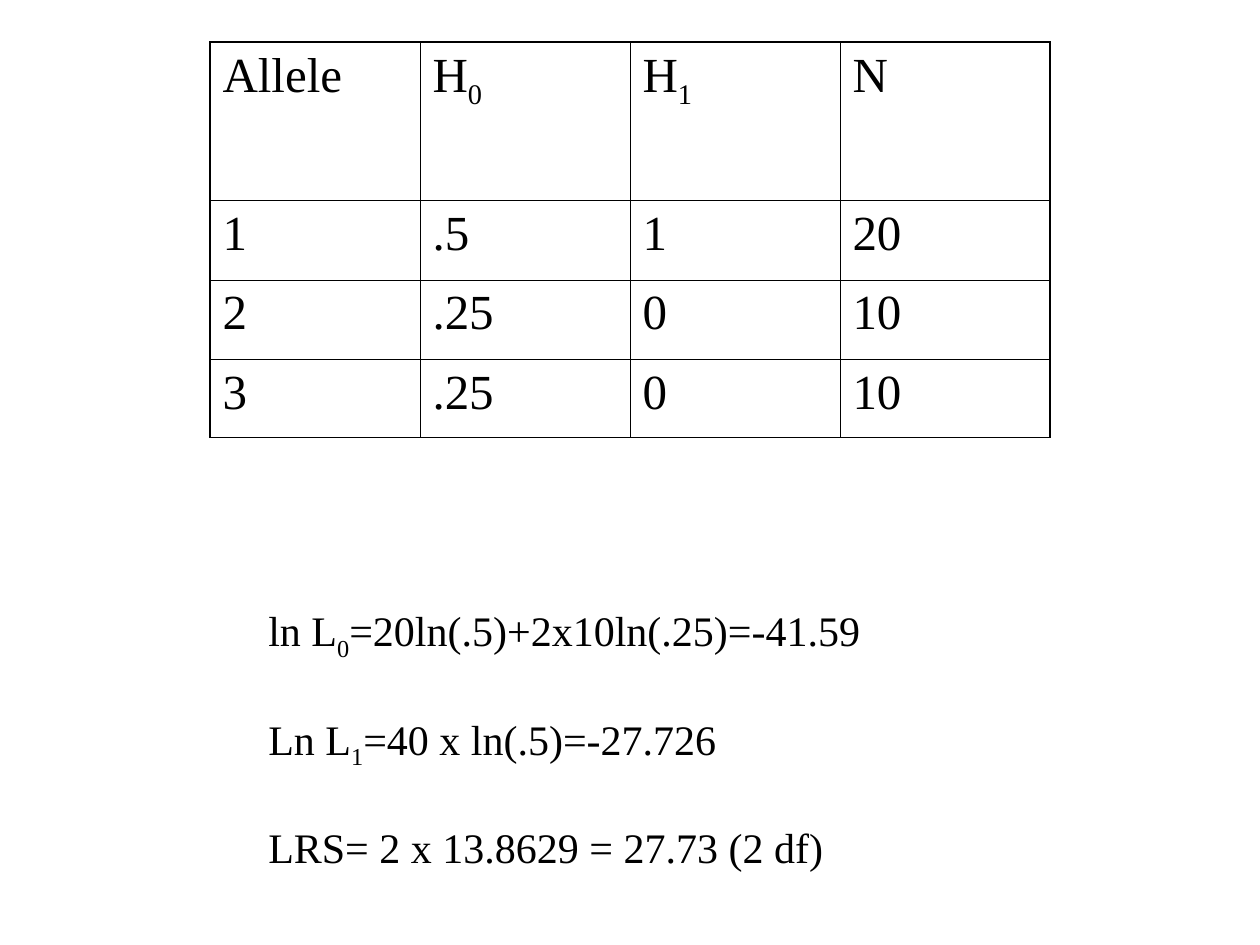
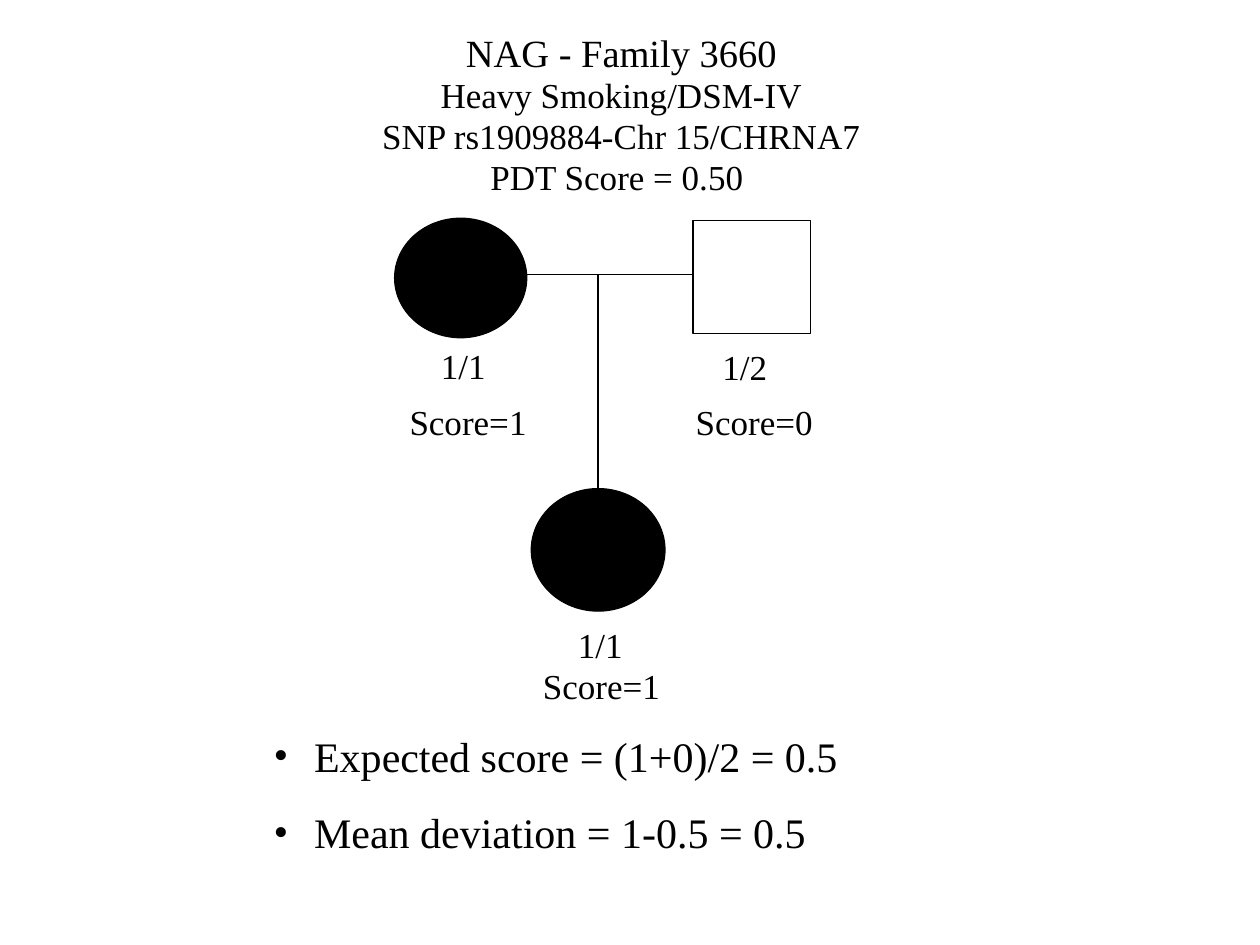
from lxml import etree
from pptx import Presentation
from pptx.dml.color import RGBColor
from pptx.enum.shapes import MSO_CONNECTOR as Line, MSO_SHAPE as Shape
from pptx.enum.text import MSO_AUTO_SIZE as AutoSize, PP_ALIGN as Align
from pptx.oxml.ns import qn
from pptx.util import Pt

BLACK = RGBColor(0, 0, 0)
WHITE = RGBColor(255, 255, 255)
FONT = "Times New Roman"
INSET = (7.2, 3.6)
SCORE_INSET = (6.5, 3.3)
NO_INSET = (0, 0)
OUTER, INNER, STROKE = 1.08, 0.45, 0.75

ALLELES = [
    [["Allele"], ["H", "0"], ["H", "1"], ["N"]],
    [["1"], [".5"], ["1"], ["20"]],
    [["2"], [".25"], ["0"], ["10"]],
    [["3"], [".25"], ["0"], ["10"]],
]
ROW_HEIGHTS = (90.5, 45.5, 45.4, 44.6)
COLUMN_WIDTH = 120

LIKELIHOODS = [
    ["ln L", "0", "=20ln(.5)+2x10ln(.25)=-41.59"],
    ["Ln L", "1", "=40 x ln(.5)=-27.726"],
    ["LRS= 2 x 13.8629 = 27.73 (2 df)"],
]
FAMILY = [
    ("NAG - Family 3660", 22),
    ("Heavy Smoking/DSM-IV", 20),
    ("SNP rs1909884-Chr 15/CHRNA7", 20),
    ("PDT Score = 0.50 ", 20),
]
GENOTYPES = [
    ("1/1", (216.5, 198, 96.5, 23.5), Align.CENTER),
    ("1/2", (412.8, 198.5, 34, 23.5), Align.LEFT),
    ("1/1", (294.8, 357.3, 96.5, 23.5), Align.CENTER),
]
SCORES = [
    ("Score=1", (227.5, 225.4, 98, 30)),
    ("Score=0", (391, 225.4, 98, 30)),
    ("Score=1", (303.7, 376.5, 98, 30)),
]
DEVIATIONS = ["Expected score = (1+0)/2 = 0.5", "Mean deviation = 1-0.5 = 0.5"]


def write(paragraph, parts, size):
    """Add the parts as runs, every second one a subscript."""
    for index, part in enumerate(parts):
        run = paragraph.add_run()
        run.text = part
        run.font.name = FONT
        run.font.size = Pt(size)
        run.font.color.rgb = BLACK
        if index % 2:
            run.font._element.set("baseline", "-25000")


def add_text(slide, box, lines, inset=INSET, align=Align.LEFT,
             spacing=None, after=0, before=0):
    """Add a text box of (parts, size) lines and return its paragraphs."""
    frame = slide.shapes.add_textbox(*map(Pt, box)).text_frame
    frame.word_wrap = True
    frame.auto_size = AutoSize.SHAPE_TO_FIT_TEXT
    frame.margin_left = frame.margin_right = Pt(inset[0])
    frame.margin_top = frame.margin_bottom = Pt(inset[1])
    for index, (parts, size) in enumerate(lines):
        paragraph = frame.add_paragraph() if index else frame.paragraphs[0]
        paragraph.alignment = align
        paragraph.line_spacing = spacing
        paragraph.space_after = Pt(after)
        paragraph.space_before = Pt(before)
        write(paragraph, parts, size)
    return frame.paragraphs


def add_bullet(paragraph, indent):
    """Give the paragraph a hanging round bullet."""
    properties = paragraph._p.get_or_add_pPr()
    properties.set("marL", str(Pt(indent)))
    properties.set("indent", str(-Pt(indent)))
    etree.SubElement(properties, qn("a:buFont")).set("typeface", FONT)
    etree.SubElement(properties, qn("a:buChar")).set("char", "•")


def set_borders(cell, widths):
    """Draw the left, right, top and bottom borders of a cell."""
    properties = cell._tc.get_or_add_tcPr()
    for position, (side, width) in enumerate(zip("LRTB", widths)):
        border = etree.Element(qn(f"a:ln{side}"), w=str(Pt(width)))
        fill = etree.SubElement(border, qn("a:solidFill"))
        etree.SubElement(fill, qn("a:srgbClr")).set("val", str(BLACK))
        properties.insert(position, border)


def add_allele_table(slide, left, top):
    """Add the allele table with a heavier outer frame."""
    rows, columns = len(ALLELES), len(ALLELES[0])
    alleles = slide.shapes.add_table(
        rows, columns, Pt(left), Pt(top),
        Pt(COLUMN_WIDTH * columns), Pt(sum(ROW_HEIGHTS))).table
    alleles.first_row = alleles.horz_banding = False
    for column in alleles.columns:
        column.width = Pt(COLUMN_WIDTH)
    for r, (row, height) in enumerate(zip(ALLELES, ROW_HEIGHTS)):
        alleles.rows[r].height = Pt(height)
        for c, parts in enumerate(row):
            cell = alleles.cell(r, c)
            cell.fill.background()
            edges = (c == 0, c == columns - 1, r == 0, r == rows - 1)
            set_borders(cell, [OUTER if edge else INNER for edge in edges])
            write(cell.text_frame.paragraphs[0], parts, 28)


def add_person(slide, kind, box, affected):
    """Add a pedigree symbol, black when the person is affected."""
    person = slide.shapes.add_shape(kind, *map(Pt, box))
    person.shadow.inherit = False
    person.line.color.rgb = BLACK
    person.line.width = Pt(STROKE)
    if affected:
        person.fill.solid()
        person.fill.fore_color.rgb = BLACK
    else:
        person.fill.background()
    return person


def add_link(slide, start, end):
    """Add a family line and return it."""
    link = slide.shapes.add_connector(Line.STRAIGHT, *map(Pt, start + end))
    link.line.color.rgb = BLACK
    link.line.width = Pt(STROKE)
    etree.SubElement(link._element.spPr, qn("a:effectLst"))
    return link


def add_slide(deck):
    """Add a blank slide with a white background."""
    slide = deck.slides.add_slide(deck.slide_layouts[6])
    slide.background.fill.solid()
    slide.background.fill.fore_color.rgb = WHITE
    return slide


def build_likelihood_slide(deck):
    """Show the allele counts and the likelihood ratio."""
    slide = add_slide(deck)
    add_allele_table(slide, 120, 24)
    add_text(slide, (146.2, 342, 400, 159),
             [(parts, 24) for parts in LIKELIHOODS], after=29.2)


def build_family_slide(deck):
    """Show the pedigree with genotypes and scores."""
    slide = add_slide(deck)
    add_person(slide, Shape.OVAL, (225.5, 124.7, 75.5, 68.3), True)
    add_person(slide, Shape.RECTANGLE, (396, 126, 67, 64.6), False)
    child = add_person(slide, Shape.OVAL, (303.6, 279.2, 76.4, 70), True)
    couple_y, child_x = 156.8, 341.8
    add_link(slide, (301, couple_y), (395.5, couple_y))
    descent = add_link(slide, (child_x, couple_y), (child_x, 279.2))
    descent.end_connect(child, 0)

    add_text(slide, (162, 18, 386, 96), [([line], size) for line, size in FAMILY],
             NO_INSET, align=Align.CENTER, spacing=0.97)
    for genotype, box, align in GENOTYPES:
        add_text(slide, box, [([genotype], 20)], NO_INSET, align=align, spacing=0.98)
    for score, box in SCORES:
        add_text(slide, box, [([score], 20)], SCORE_INSET, before=12.5)
    deviations = add_text(slide, (149.8, 414, 372, 79),
                          [([line], 24) for line in DEVIATIONS],
                          SCORE_INSET, before=15)
    for deviation in deviations:
        add_bullet(deviation, 23.2)


def main():
    """Build and save the two slides."""
    deck = Presentation()
    deck.slide_width, deck.slide_height = Pt(720), Pt(540)
    build_likelihood_slide(deck)
    build_family_slide(deck)
    deck.save("out.pptx")


if __name__ == "__main__":
    main()
